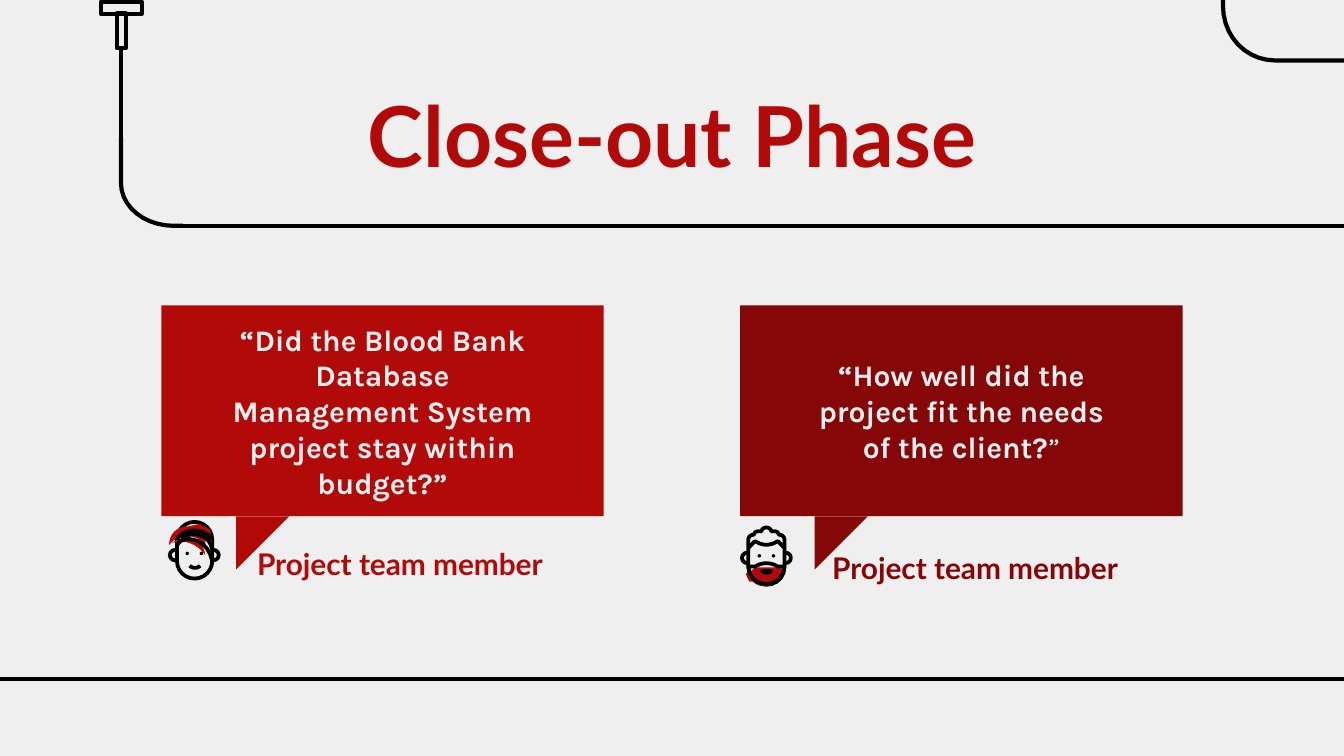
from dataclasses import dataclass

from lxml import etree
from pptx import Presentation
from pptx.dml.color import RGBColor as RGB
from pptx.enum.shapes import MSO_CONNECTOR as CONN, MSO_SHAPE as SHAPE
from pptx.enum.text import MSO_ANCHOR as ANCHOR, PP_ALIGN as ALIGN
from pptx.oxml.ns import qn
from pptx.util import Pt


@dataclass(frozen=True)
class Theme:
    paper: str = "EFEFEF"
    ink: str = "000000"
    red: str = "B20909"
    dark: str = "850707"
    heading: str = "Lato"
    body: str = "Karla"
    title_size: float = 45
    text_size: float = 16
    rule: float = 2.25
    stroke: float = 2


T = Theme()


def paint(sp, fill=None, line=None, width=T.stroke):
    """Set the fill and outline of a shape; None leaves it empty."""
    sp.shadow.inherit = False
    for part, color in ((sp.fill, fill), (sp.line.fill, line)):
        if color:
            part.solid()
            part.fore_color.rgb = RGB.from_string(color)
        else:
            part.background()
    if line:
        sp.line.width = Pt(width)
    return sp


def add_preset(s, kind, box, **style):
    return paint(s.shapes.add_shape(kind, *map(Pt, box)), **style)


def add_rule(s, x1, y1, x2, y2):
    c = s.shapes.add_connector(CONN.STRAIGHT, Pt(x1), Pt(y1), Pt(x2), Pt(y2))
    c.line.color.rgb = RGB.from_string(T.ink)
    c.line.width = Pt(T.rule)
    etree.SubElement(c._element.spPr, qn("a:effectLst"))


def trace(start, segments, steps=10):
    """Points of a path: 2 numbers are a line, 6 a cubic curve."""
    points = [start]
    for seg in segments:
        if len(seg) == 2:
            points.append(seg)
            continue
        x0, y0 = points[-1]
        x1, y1, x2, y2, x3, y3 = seg
        for i in range(1, steps + 1):
            t = i / steps
            a, b, c, d = (1 - t)**3, 3 * t * (1 - t)**2, 3 * t * t * (1 - t), t**3
            points.append((a * x0 + b * x1 + c * x2 + d * x3,
                           a * y0 + b * y1 + c * y2 + d * y3))
    return points


def add_path(s, start, *segments, origin=(0, 0), close=False, **style):
    ox, oy = origin
    points = [(Pt(ox + x), Pt(oy + y)) for x, y in trace(start, segments)]
    fb = s.shapes.build_freeform(*points[0])
    fb.add_line_segments(points[1:], close=close)
    return paint(fb.convert_to_shape(), **style)


def write(sp, runs, font, size, color, anchor, inset):
    """Fill a shape with one centred paragraph of (text, bold) runs."""
    tf = sp.text_frame
    tf.word_wrap = True
    tf.vertical_anchor = anchor
    tf.margin_left = tf.margin_right = Pt(inset)
    tf.margin_top = tf.margin_bottom = Pt(7.2)
    p = tf.paragraphs[0]
    p.alignment = ALIGN.CENTER
    p.font.name, p.font.size = font, Pt(size)
    p.font.color.rgb = RGB.from_string(color)
    for text, bold in runs:
        r = p.add_run()
        r.text = text
        r.font.bold = bold


def add_heading(s, box, text, size, color, anchor, inset):
    sp = s.shapes.add_textbox(*map(Pt, box))
    write(sp, [(text, True)], T.heading, size, color, anchor, inset)


def add_quote(s, left, tail_left, runs, color):
    sp = add_preset(s, SHAPE.RECTANGLE, (left, 163.6, 237, 113), fill=color)
    write(sp, runs, T.body, T.text_size, T.paper, ANCHOR.MIDDLE, 36)
    tail = add_preset(s, SHAPE.RIGHT_TRIANGLE, (tail_left, 276.6, 28.5, 28.5), fill=color)
    tail.rotation = 90


def add_ears(s, x, y):
    for dx in (1, 21.6):
        add_preset(s, SHAPE.OVAL, (x + dx, y, 5.6, 5.6), line=T.ink)


def add_eyes(s, x, y):
    for dx in (9.4, 17):
        add_preset(s, SHAPE.OVAL, (x + dx, y, 1.8, 1.8), fill=T.ink)


def add_fringe_face(s, x, y):
    at = {"origin": (x, y)}
    add_ears(s, x, y + 16)
    head = add_preset(s, SHAPE.ROUNDED_RECTANGLE, (x + 4.8, y + 1, 18.9, 30.4),
                      fill=T.paper, line=T.ink)
    head.adjustments[0] = 0.5
    # Hair
    add_path(s, (0.5, 13.5), (0.8, 7, 5, 3.5, 10.5, 3.5), (15, 3.5, 20, 7, 20.2, 13.5),
             (17, 10, 14, 8.6, 10.5, 8.6), (7, 8.6, 3, 10, 0.5, 13.5),
             close=True, fill=T.red, **at)
    add_path(s, (2, 12.3), (11, 6, 19, 10, 20, 19), (16, 13, 9, 10, 2, 12.3),
             close=True, fill=T.red, **at)
    add_path(s, (5, 9), (7, 4.3), (17, 2), (22.5, 5), (23.5, 9), (23.5, 15),
             (22, 10.5), (17, 7.6), (11.5, 6), (6, 7.5), close=True, fill=T.red, **at)
    # Hair lines
    for start, curve in (
        ((4.8, 10.5), (8, 4, 20, 4, 23.7, 10.5)),
        ((7, 9.8), (11, 6.5, 22, 6, 23.7, 16)),
        ((4.8, 14), (6, 8, 21, 8, 23.7, 22)),
    ):
        add_path(s, start, curve, line=T.ink, **at)
    add_eyes(s, x, y + 17)
    add_path(s, (11.6, 24.5), (13, 26, 16, 26, 17.2, 24.5), line=T.ink, **at)


def add_beard_face(s, x, y):
    at = {"origin": (x, y)}
    add_ears(s, x, y + 14.6)
    # Head with curly hair
    add_path(s, (4.4, 22), (4.4, 8), (4.4, 5.5, 6, 5, 7.4, 5), (7.8, 3, 9.5, 3, 11.4, 3.2),
             (12, 0.4, 16.2, 0.4, 16.8, 3.2), (18.7, 3, 20.4, 3, 20.8, 5),
             (22.2, 5, 23.8, 5.5, 23.8, 8), (23.8, 22),
             (23.8, 35, 4.4, 35, 4.4, 22), close=True, fill=T.paper, line=T.ink, **at)
    add_path(s, (4.4, 12), (8, 8.4), (12, 11, 16.2, 11, 20.2, 8.4), (23.8, 12),
             line=T.ink, **at)
    # Beard and moustache
    add_path(s, (3, 26), (6.5, 24), (8, 22.5), (20.5, 22.5), (23.8, 23.8),
             (22, 34, 10, 34, 7, 30.2), (5, 30.2), close=True, fill=T.red, **at)
    add_path(s, (4.4, 22), (4.8, 34.5, 23.4, 34.5, 23.8, 22), (20, 22),
             (16.5, 19.7, 11.7, 19.7, 8.2, 22), (4.4, 22), line=T.ink, **at)
    add_path(s, (10.8, 24), (13, 23.2, 15.4, 23.2, 17.5, 24),
             (17.5, 27.2, 10.8, 27.2, 10.8, 24), close=True, fill=T.ink, **at)
    add_eyes(s, x, y + 15.4)


def add_frame(s):
    style = {"line": T.ink, "width": T.rule}
    # Corner and floor lines
    add_path(s, (655.2, 0), (655.2, 3), (655.2, 19.5, 667.5, 32.4, 683.3, 32.4),
             (720, 32.4), **style)
    add_rule(s, 0, 363.6, 720, 363.6)
    # Hanging line under the title
    add_path(s, (64.8, 74), (64.8, 98), (64.8, 111, 77.8, 121, 93, 121), (98, 121), **style)
    add_rule(s, 95, 121, 720, 121)
    add_rule(s, 64.8, 83, 64.8, 26)
    add_preset(s, SHAPE.RECTANGLE, (62.5, 7.2, 5, 18.7), **style)
    add_preset(s, SHAPE.RECTANGLE, (54, 0.9, 22, 6.5), **style)


def main():
    prs = Presentation()
    prs.slide_width, prs.slide_height = Pt(720), Pt(405)
    s = prs.slides.add_slide(prs.slide_layouts[6])
    s.background.fill.solid()
    s.background.fill.fore_color.rgb = RGB.from_string(T.paper)

    add_frame(s)
    add_heading(s, (130.3, 49, 459.4, 45.4), "Close-out Phase", T.title_size, T.red,
                ANCHOR.MIDDLE, 7.2)

    # Questions
    add_quote(s, 86.4, 126.5, [("“Did the Blood Bank Database Management System "
                                "project stay within budget?”", True)], T.red)
    add_quote(s, 396.5, 436.4, [("“How well did the project fit the needs "
                                 "of the client?", True), ("”", False)], T.dark)

    # Speakers
    for left, top, color in ((95.8, 285.1, T.red), (403.9, 287.3, T.dark)):
        add_heading(s, (left, top, 237, 30), "Project team member", T.text_size, color,
                    ANCHOR.TOP, 14.4)
    add_fringe_face(s, 90, 278.6)
    add_beard_face(s, 396.5, 281.5)

    prs.save("out.pptx")


if __name__ == "__main__":
    main()
